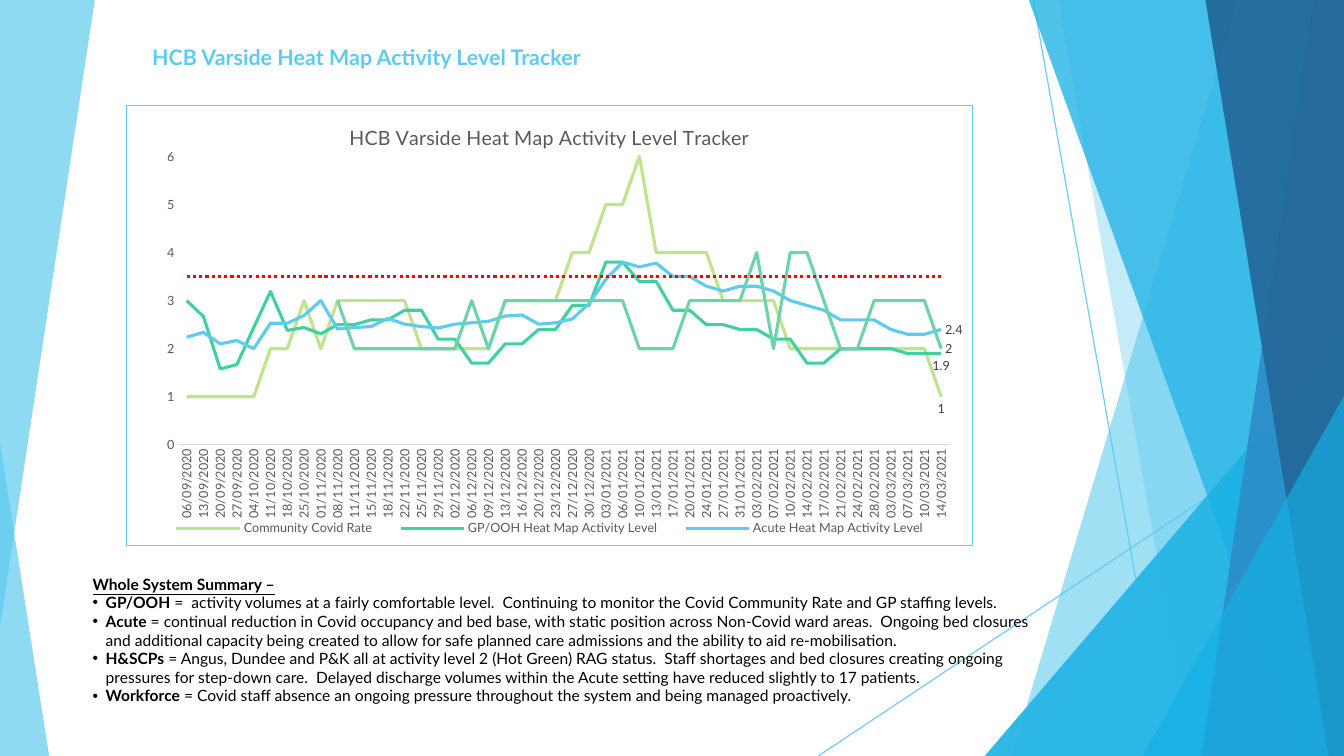
from dataclasses import dataclass

from lxml import etree
from pptx import Presentation
from pptx.chart.data import CategoryChartData
from pptx.dml.color import RGBColor
from pptx.enum.chart import (XL_CHART_TYPE, XL_LABEL_POSITION, XL_LEGEND_POSITION,
                             XL_MARKER_STYLE, XL_TICK_MARK)
from pptx.enum.dml import MSO_LINE
from pptx.enum.shapes import MSO_CONNECTOR, MSO_SHAPE
from pptx.enum.text import MSO_ANCHOR, MSO_AUTO_SIZE, PP_ALIGN
from pptx.oxml import parse_xml
from pptx.oxml.ns import nsdecls, qn
from pptx.util import Cm, Pt

LINE_CHART = XL_CHART_TYPE.LINE
RIGHT, BELOW = XL_LABEL_POSITION.RIGHT, XL_LABEL_POSITION.BELOW
LEGEND_BOTTOM = XL_LEGEND_POSITION.BOTTOM
NO_MARKER, NO_TICK = XL_MARKER_STYLE.NONE, XL_TICK_MARK.NONE
DOTTED, STRAIGHT = MSO_LINE.ROUND_DOT, MSO_CONNECTOR.STRAIGHT
TRIANGLE = MSO_SHAPE.ISOSCELES_TRIANGLE
TOP, LEFT, NO_AUTOFIT = MSO_ANCHOR.TOP, PP_ALIGN.LEFT, MSO_AUTO_SIZE.NONE

WIDTH, HEIGHT = 33.87, 19.05


@dataclass(frozen=True)
class Theme:
    font: str = "Lato"
    sky: str = "5FCBEF"
    cyan: str = "17B0E4"
    blue: str = "2E83C3"
    navy: str = "226292"
    lime: str = "C0E38D"
    green: str = "42D0A2"
    mint: str = "6ED2AA"
    red: str = "FF0000"
    black: str = "000000"
    gray: str = "595959"
    label: str = "404040"
    axis: str = "D9D9D9"
    white: str = "FFFFFF"
    title_size: float = 15.3
    body_size: float = 11.1
    chart_title_size: float = 14
    chart_size: float = 9


# Chart data
DATES = """06/09/2020 13/09/2020 20/09/2020 27/09/2020 04/10/2020 11/10/2020 18/10/2020
25/10/2020 01/11/2020 08/11/2020 11/11/2020 15/11/2020 18/11/2020 22/11/2020 25/11/2020
29/11/2020 02/12/2020 06/12/2020 09/12/2020 13/12/2020 16/12/2020 20/12/2020 23/12/2020
27/12/2020 30/12/2020 03/01/2021 06/01/2021 10/01/2021 13/01/2021 17/01/2021 20/01/2021
24/01/2021 27/01/2021 31/01/2021 03/02/2021 07/02/2021 10/02/2021 14/02/2021 17/02/2021
21/02/2021 24/02/2021 28/02/2021 03/03/2021 07/03/2021 10/03/2021 14/03/2021""".split()
COVID = [1] * 5 + [2, 2, 3, 2] + [3] * 5 + [2] * 5 + [3] * 4 + [4, 4, 5, 5, 6] + [4] * 4 \
    + [3] * 4 + [2] * 9 + [1]
GP = [3, 2.67, 1.58, 1.67, 2.44, 3.19, 2.38, 2.44, 2.31, 2.5, 2.5, 2.6, 2.6, 2.8, 2.8, 2.2,
      2.2, 1.7, 1.7, 2.1, 2.1, 2.4, 2.4, 2.9, 2.9, 3.8, 3.8, 3.4, 3.4, 2.8, 2.8, 2.5, 2.5,
      2.4, 2.4, 2.2, 2.2, 1.7, 1.7, 2, 2, 2, 2, 1.9, 1.9, 1.9]
ACUTE = [2.24, 2.34, 2.1, 2.17, 2, 2.53, 2.53, 2.69, 3, 2.41, 2.44, 2.46, 2.63, 2.51, 2.46,
         2.43, 2.51, 2.54, 2.57, 2.68, 2.7, 2.51, 2.54, 2.62, 2.94, 3.44, 3.8, 3.7, 3.78,
         3.5, 3.5, 3.3, 3.2, 3.3, 3.3, 3.2, 3, 2.9, 2.8, 2.6, 2.6, 2.6, 2.4, 2.3, 2.3, 2.4]
DELAYED = [None] * 9 + [3] + [2] * 7 + [3, 2] + [3] * 8 + [2] * 3 + [3] * 4 \
    + [4, 2, 4, 4, 3, 2, 2, 3, 3, 3, 3, 2]
THRESHOLD = [3.5] * len(DATES)

# Summary list: topic and remark
SUMMARY = [
    ("GP/OOH", " =  activity volumes at a fairly comfortable level.  Continuing to monitor the "
     "Covid Community Rate and GP staffing levels."),
    ("Acute", " = continual reduction in Covid occupancy and bed base, with static position "
     "across Non-Covid ward areas.  Ongoing bed closures and additional capacity being created "
     "to allow for safe planned care admissions and the ability to aid re-mobilisation."),
    ("H&SCPs", " = Angus, Dundee and P&K all at activity level 2 (Hot Green) RAG status.  Staff "
     "shortages and bed closures creating ongoing pressures for step-down care.  Delayed "
     "discharge volumes within the Acute setting have reduced slightly to 17 patients."),
    ("Workforce", " = Covid staff absence an ongoing pressure throughout the system and being "
     "managed proactively."),
]


class SlideBuilder:
    def __init__(self, slide, theme):
        self.slide, self.shapes, self.theme = slide, slide.shapes, theme

    def style(self, font, size, color, bold=False):
        font.name, font.size, font.bold = self.theme.font, Pt(size), bold
        font.color.rgb = RGBColor.from_string(color)

    def fade(self, element, opacity):
        for color in element.spPr.iter(qn("a:srgbClr")):
            etree.SubElement(color, qn("a:alpha")).set("val", str(opacity * 1000))

    def paint(self, shape, color, opacity):
        shape.shadow.inherit = False
        shape.fill.solid()
        shape.fill.fore_color.rgb = RGBColor.from_string(color)
        shape.line.fill.background()
        self.fade(shape._element, opacity)

    def polygon(self, points, color, opacity):
        corners = [(Cm(x), Cm(y)) for x, y in points]
        builder = self.shapes.build_freeform(*corners[0])
        builder.add_line_segments(corners[1:], close=True)
        self.paint(builder.convert_to_shape(), color, opacity)

    def band(self, top_x, bottom_x, color, opacity):
        self.polygon([(top_x, 0), (WIDTH, 0), (WIDTH, HEIGHT), (bottom_x, HEIGHT)],
                     color, opacity)

    def triangle(self, left, top, width, apex, color, opacity):
        shape = self.shapes.add_shape(TRIANGLE, Cm(left), Cm(top), Cm(width), Cm(HEIGHT - top))
        shape.adjustments[0] = apex
        self.paint(shape, color, opacity)

    def line(self, x1, y1, x2, y2):
        connector = self.shapes.add_connector(STRAIGHT, Cm(x1), Cm(y1), Cm(x2), Cm(y2))
        connector.line.color.rgb = RGBColor.from_string(self.theme.sky)
        connector.line.width = Pt(0.75)
        self.fade(connector._element, 70)
        etree.SubElement(connector._element.spPr, qn("a:effectLst"))

    def right_facets(self):
        theme = self.theme
        self.line(26.04, 0, 29.41, HEIGHT)
        self.line(WIDTH, 10.24, 20.62, HEIGHT)
        self.band(31.19, 25.5, theme.sky, 36)
        self.band(26.67, 30.05, theme.sky, 20)
        self.triangle(24.82, 8.46, WIDTH - 24.82, 1, theme.cyan, 66)
        self.band(25.93, 32.79, theme.cyan, 50)
        self.band(33.1, 30.28, theme.blue, 70)
        self.band(30.38, 33.48, theme.navy, 80)
        self.triangle(28.8, 9.98, WIDTH - 28.8, 1, theme.cyan, 66)

    def place(self, placeholder, left, top, width, height):
        placeholder.left, placeholder.top = Cm(left), Cm(top)
        placeholder.width, placeholder.height = Cm(width), Cm(height)
        self.shapes._spTree.append(placeholder._element)  # bring in front of the facets
        frame = placeholder.text_frame
        frame.word_wrap, frame.auto_size, frame.vertical_anchor = True, NO_AUTOFIT, TOP
        return frame

    def add_run(self, paragraph, text, size, color, bold=False):
        run = paragraph.add_run()
        run.text = text
        self.style(run.font, size, color, bold)
        return run

    def title(self, text, *box):
        paragraph = self.place(self.shapes.title, *box).paragraphs[0]
        paragraph.alignment = LEFT
        self.add_run(paragraph, text, self.theme.title_size, self.theme.sky, True)

    def summary(self, heading, items, *box):
        size, color = self.theme.body_size, self.theme.black
        frame = self.place(self.slide.placeholders[1], *box)
        for index, (topic, remark) in enumerate([(heading, "")] + items):
            paragraph = frame.add_paragraph() if index else frame.paragraphs[0]
            properties = paragraph._p.get_or_add_pPr()
            indent = Cm(0.33) if index else 0
            properties.set("marL", str(indent))
            properties.set("indent", str(-indent))
            if index:
                etree.SubElement(properties, qn("a:buChar")).set("char", "•")
            else:
                etree.SubElement(properties, qn("a:buNone"))
            paragraph.space_before = Pt(0)
            run = self.add_run(paragraph, topic, size, color, True)
            run.font.underline = index == 0
            if remark:
                self.add_run(paragraph, remark, size, color)

    def layout_xml(self, x, y, width, height, inner=False):
        target = '<c:layoutTarget val="inner"/>' if inner else ""
        values = "".join(f'<c:{name} val="{value}"/>' for name, value in
                         zip("xywh", (x, y, width, height)))
        return parse_xml(f'<c:layout {nsdecls("c")}><c:manualLayout>{target}<c:xMode val="edge"/>'
                         f'<c:yMode val="edge"/>{values}</c:manualLayout></c:layout>')

    def line_chart(self, title, series_rows, *box):
        theme = self.theme
        data = CategoryChartData()
        data.categories = DATES
        for name, values, *_ in series_rows:
            data.add_series(name, values)
        chart = self.shapes.add_chart(LINE_CHART, *map(Cm, box), data).chart
        self.style(chart.font, theme.chart_size, theme.gray)
        chart.has_title = True
        self.add_run(chart.chart_title.text_frame.paragraphs[0], title,
                     theme.chart_title_size, theme.gray)

        # Series and end labels
        plot = chart.plots[0]
        plot.vary_by_categories = False
        for series, (_, values, color, position) in zip(plot.series, series_rows):
            series.smooth = False
            series.marker.style = NO_MARKER
            series.format.line.width = Pt(2.25)
            series.format.line.color.rgb = RGBColor.from_string(color)
            if position is None:
                series.format.line.dash_style = DOTTED
                continue
            series.data_labels.show_value = False
            label = series.points[len(values) - 1].data_label
            self.style(label.font, theme.chart_size, theme.label)
            label.position = position

        # Axes
        for axis in (chart.category_axis, chart.value_axis):
            axis.has_major_gridlines = False
            axis.major_tick_mark = axis.minor_tick_mark = NO_TICK
            self.style(axis.tick_labels.font, theme.chart_size, theme.gray)
        chart.value_axis.minimum_scale, chart.value_axis.maximum_scale = 0, 6
        chart.value_axis.major_unit = 1
        chart.value_axis.format.line.fill.background()
        dates = chart.category_axis
        dates.format.line.width = Pt(0.75)
        dates.format.line.color.rgb = RGBColor.from_string(theme.axis)
        body = dates._element.find(qn("c:txPr")).find(qn("a:bodyPr"))
        body.set("rot", "-5400000")
        body.set("vert", "horz")
        dates._element.find(qn("c:noMultiLvlLbl")).addprevious(
            parse_xml(f'<c:tickLblSkip {nsdecls("c")} val="1"/>'))

        # Legend, plot area and frame
        chart.has_legend = True
        chart.legend.position = LEGEND_BOTTOM
        chart.legend.include_in_layout = False
        self.style(chart.legend.font, theme.chart_size, theme.gray)
        legend, area = chart.legend._element, chart._chartSpace.chart.plotArea
        for parent in (legend, area):
            for old in parent.findall(qn("c:layout")):
                parent.remove(old)
        area.insert(0, self.layout_xml(0.061, 0.116, 0.912, 0.655, inner=True))
        position = legend.find(qn("c:legendPos"))
        position.addnext(self.layout_xml(0.03, 0.935, 0.94, 0.05))
        for index in (4, 3):
            position.addnext(parse_xml(f'<c:legendEntry {nsdecls("c")}><c:idx val="{index}"/>'
                                       '<c:delete val="1"/></c:legendEntry>'))
        fill = '<a:solidFill><a:srgbClr val="{}"/></a:solidFill>'
        chart._chartSpace.chart.addnext(parse_xml(
            f'<c:spPr {nsdecls("c", "a")}>{fill.format(theme.white)}'
            f'<a:ln w="9525">{fill.format(theme.sky)}</a:ln></c:spPr>'))


def main():
    presentation = Presentation()
    presentation.slide_width, presentation.slide_height = Cm(WIDTH), Cm(HEIGHT)
    theme = Theme()
    builder = SlideBuilder(presentation.slides.add_slide(presentation.slide_layouts[1]), theme)

    # Background facets, in two layers
    builder.right_facets()
    builder.triangle(0, 11.15, 1.24, 0, theme.sky, 70)
    builder.polygon([(0, 0), (2.39, 0), (0, 15.8)], theme.sky, 70)
    builder.right_facets()

    # Content
    heading = "HCB Varside Heat Map Activity Level Tracker"
    builder.title(heading, 3.58, 0.99, 16.69, 1.35)
    builder.summary("Whole System Summary –", SUMMARY, 2.08, 14.35, 24.41, 4.04)
    builder.line_chart(heading, [
        ("Community Covid Rate", COVID, theme.lime, BELOW),
        ("GP/OOH Heat Map Activity Level", GP, theme.green, BELOW),
        ("Acute Heat Map Activity Level", ACUTE, theme.sky, RIGHT),
        ("Delayed Discharge Activity Level", DELAYED, theme.mint, RIGHT),
        ("Series 5", THRESHOLD, theme.red, None),
    ], 3.18, 2.64, 21.34, 11.13)
    presentation.save("out.pptx")


if __name__ == "__main__":
    main()
